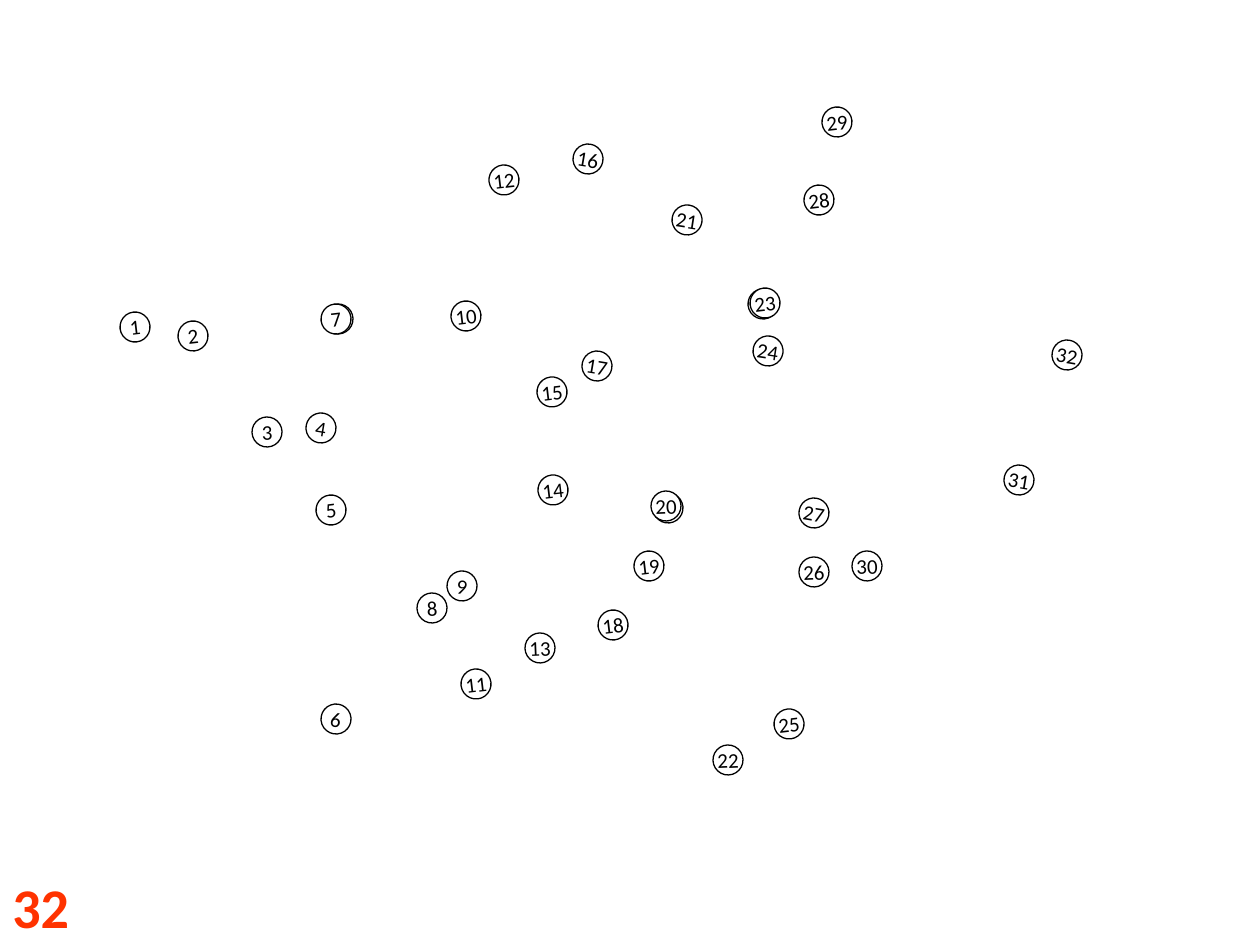
from pptx import Presentation
from pptx import util as u
from pptx.dml.color import RGBColor
from pptx.enum import shapes, text

PX_PER_INCH = 126
BLACK = RGBColor(0x00, 0x00, 0x00)
WHITE = RGBColor(0xFF, 0xFF, 0xFF)
ORANGE_RED = RGBColor(0xFF, 0x33, 0x00)
FONT = "Calibri"
DIAMETER = 30

# Each group shares one tilt in degrees: (label, left, top), back to front.
MARKER_GROUPS = [
    (8.7, [("21", 672, 205), ("", 748, 289), ("24", 753, 336)]),
    (9.6, [("4", 306, 413), ("6", 321, 704), ("9", 447, 571),
           ("", 653, 493), ("17", 582, 351), ("16", 573, 144),
           ("27", 799, 498), ("31", 1004, 465), ("32", 1052, 340)]),
    (353.1, [("12", 489, 165), ("14", 538, 475), ("15", 537, 377),
             ("11", 461, 669), ("25", 774, 709)]),
    (357.6, [("3", 252, 417), ("", 323, 304), ("20", 651, 491),
             ("26", 799, 557), ("30", 852, 551), ("22", 713, 745),
             ("8", 417, 593), ("13", 525, 633)]),
    (353.3, [("1", 120, 312), ("2", 178, 321), ("7", 321, 304),
             ("10", 451, 301), ("28", 804, 185), ("29", 822, 107),
             ("23", 750, 288), ("19", 634, 551), ("18", 598, 610),
             ("5", 316, 495)]),
]


def px(length):
    return u.Emu(round(length * u.Inches(1) / PX_PER_INCH))


def set_attributes(target, values):
    for name, value in values.items():
        setattr(target, name, value)


def write_text(frame, words, color, align=None, **font_format):
    para = frame.paragraphs[0]
    para.alignment = align
    span = para.add_run()
    span.text = words
    set_attributes(span.font, {"name": FONT, **font_format})
    span.font.color.rgb = color


def add_marker(slide, label, left, top, tilt):
    marker = slide.shapes.add_shape(
        shapes.MSO_SHAPE.OVAL, px(left), px(top), px(DIAMETER), px(DIAMETER))
    marker.rotation = tilt
    marker.shadow.inherit = False
    marker.fill.solid()
    marker.fill.fore_color.rgb = WHITE
    marker.line.color.rgb = BLACK
    marker.line.width = u.Pt(0.75)
    if label:
        margins = [f"margin_{side}" for side in ("left", "top", "right", "bottom")]
        set_attributes(marker.text_frame, {
            "word_wrap": False,
            "vertical_anchor": text.MSO_ANCHOR.MIDDLE,
            **dict.fromkeys(margins, px(5)),
        })
        write_text(marker.text_frame, label, BLACK,
                   text.PP_ALIGN.CENTER, size=u.Pt(12))


def add_total(slide, words):
    box = slide.shapes.add_textbox(px(0), px(866), px(87), px(79))
    set_attributes(box.text_frame, {
        "word_wrap": False,
        "auto_size": text.MSO_AUTO_SIZE.SHAPE_TO_FIT_TEXT,
    })
    write_text(box.text_frame, words, ORANGE_RED, size=u.Pt(32), bold=True)


def main():
    deck = Presentation()
    set_attributes(deck, {"slide_width": px(1260), "slide_height": px(945)})
    slide = deck.slides.add_slide(deck.slide_layouts[6])
    for tilt, markers in MARKER_GROUPS:
        for label, left, top in markers:
            add_marker(slide, label, left, top, tilt)
    add_total(slide, "32")
    deck.save("out.pptx")


if __name__ == "__main__":
    main()
